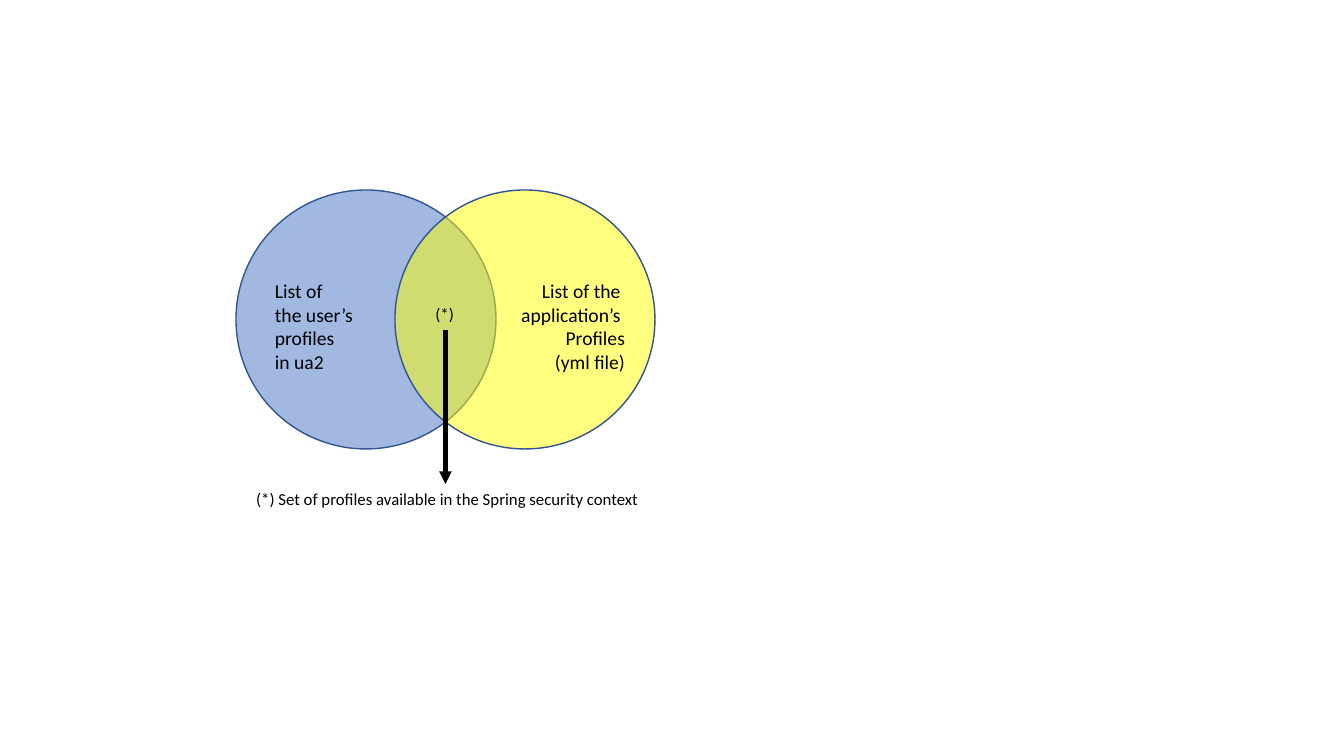
from lxml import etree
from pptx import Presentation
from pptx import util as u
from pptx.dml.color import RGBColor
from pptx.enum import shapes, text
from pptx.oxml.ns import qn

PX = 914400 / 100.8
BLUE = RGBColor(0x44, 0x72, 0xC4)
YELLOW = RGBColor(0xFF, 0xFF, 0x00)
OUTLINE = RGBColor(0x32, 0x54, 0x91)
BLACK = RGBColor(0, 0, 0)
FONT = "Calibri"


def px(*lengths):
    return [u.Emu(round(length * PX)) for length in lengths]


def add_text(page, lines, left, top, width, height, size=14, align=text.PP_ALIGN.LEFT):
    box = page.shapes.add_textbox(*px(left, top, width, height))
    frame = box.text_frame
    frame.word_wrap = False
    frame.auto_size = text.MSO_AUTO_SIZE.SHAPE_TO_FIT_TEXT
    for index, line in enumerate(lines):
        para = frame.paragraphs[0] if index == 0 else frame.add_paragraph()
        para.alignment = align
        span = para.add_run()
        span.text = line
        span.font.name = FONT
        span.font.size = u.Pt(size)
        span.font.color.rgb = BLACK


def add_circle(page, left, top, width, height, color):
    """Draw a half-transparent set of the diagram."""
    circle = page.shapes.add_shape(shapes.MSO_SHAPE.OVAL, *px(left, top, width, height))
    circle.shadow.inherit = False
    circle.fill.solid()
    circle.fill.fore_color.rgb = color
    color_node = circle.fill._xPr.find(qn("a:solidFill"))[0]
    etree.SubElement(color_node, qn("a:alpha"), val="50000")
    circle.line.color.rgb = OUTLINE
    circle.line.width = u.Pt(1)


def add_down_arrow(page, x, top, bottom):
    arrow = page.shapes.add_connector(
        shapes.MSO_CONNECTOR.STRAIGHT, *px(x, top, x, bottom))
    arrow.line.color.rgb = BLACK
    arrow.line.width = u.Pt(3)
    etree.SubElement(arrow.line._get_or_add_ln(), qn("a:tailEnd"), type="triangle")
    etree.SubElement(arrow._element.spPr, qn("a:effectLst"))


def add_venn(page, left, top, width, height):
    """Draw two overlapping sets, with an arrow from their overlap to a caption."""
    circle_width, circle_height = 260, 259
    label_top, label_height, small_height = top + 84, 105, 30
    middle = left + width / 2
    caption_top = top + height - small_height

    add_circle(page, left, top, circle_width, circle_height, BLUE)
    add_circle(page, left + width - circle_width, top, circle_width, circle_height, YELLOW)
    add_text(page, ["List of", "the user’s", "profiles", "in ua2"],
             left + 29, label_top, 104, label_height)
    add_text(page, ["(*)"], middle - 20, top + 109, 39, small_height, size=12)
    add_text(page, ["List of the ", "application’s ", "Profiles", "(yml file)"],
             left + width - 146, label_top, 126, label_height,
             align=text.PP_ALIGN.RIGHT)
    add_text(page, ["(*) Set of profiles available in the Spring security context"],
             middle - 203, caption_top, 406, small_height,
             size=12, align=text.PP_ALIGN.RIGHT)
    add_down_arrow(page, middle, top + 140, caption_top)


def main():
    deck = Presentation()
    deck.slide_width, deck.slide_height = px(1344, 756)
    page = deck.slides.add_slide(deck.slide_layouts[6])
    add_venn(page, 236, 190, 419, 324)
    deck.save("out.pptx")


if __name__ == "__main__":
    main()
